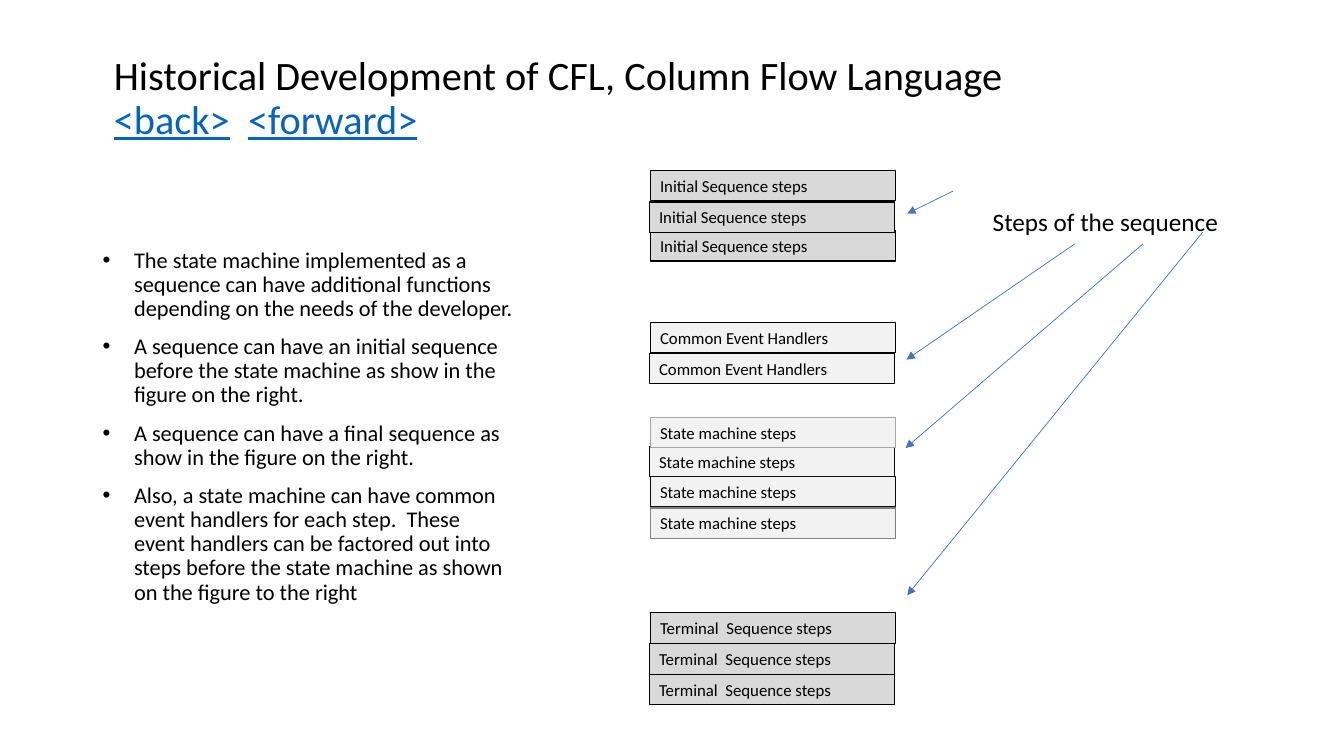
from lxml.etree import SubElement
from pptx import Presentation
from pptx.dml.color import RGBColor
from pptx.enum.shapes import MSO_CONNECTOR, MSO_SHAPE
from pptx.enum.text import MSO_ANCHOR, PP_ALIGN
from pptx.oxml.ns import qn
from pptx.util import Pt

COLORS = {
    "text": "000000",
    "link": "0563C1",
    "arrow": "4472C4",
    "sequence": "D9D9D9",
    "machine": "F2F2F2",
    "black": "000000",
    "dark": "0D0D0D",
    "gray": "808080",
    "light": "A6A6A6",
}
FONT = "Calibri"
LEFT, SHIFTED_LEFT = 464.4, 463.7
STEP_WIDTH, STEP_HEIGHT = 175, 21.6

BULLETS = [
    "The state machine implemented as a sequence can have additional functions "
    "depending on the needs of the developer.",
    "A sequence can have an initial sequence before the state machine as show in "
    "the figure on the right.",
    "A sequence can have a final sequence as show in the figure on the right.",
    "Also, a state machine can have common event handlers for each step.  These "
    "event handlers can be factored out into steps before the state machine as "
    "shown on the figure to the right",
]

STACKS = [
    ("Initial Sequence steps", "sequence", [
        (LEFT, 164.9, "black"), (SHIFTED_LEFT, 144.3, "black"), (LEFT, 121.8, "black")]),
    ("Common Event Handlers", "machine", [
        (LEFT, 230.4, "black"), (SHIFTED_LEFT, 252.5, "black")]),
    ("State machine steps", "machine", [
        (SHIFTED_LEFT, 319, "dark"), (LEFT, 298.1, "light"),
        (LEFT, 340.6, "dark"), (LEFT, 362.9, "gray")]),
    ("Terminal  Sequence steps", "sequence", [
        (LEFT, 437.8, "black"), (SHIFTED_LEFT, 460, "black"), (SHIFTED_LEFT, 482, "black")]),
]

ARROWS = [
    (680.6, 136.6, 648, 152.6),
    (767.7, 174.2, 647.5, 256.9),
    (816.4, 174.2, 646.8, 320.1),
    (859.2, 165.7, 648, 425.2),
]


def color(name):
    return RGBColor.from_string(COLORS[name])


def add_text(para, text, size=12, fill="text", underline=False):
    span = para.add_run()
    span.text = text
    span.font.name = FONT
    span.font.size = Pt(size)
    span.font.color.rgb = color(fill)
    span.font.underline = underline


def add_box(page, left, top, width, height, anchor=MSO_ANCHOR.TOP):
    box = page.shapes.add_textbox(Pt(left), Pt(top), Pt(width), Pt(height))
    frame = box.text_frame
    frame.word_wrap = True
    frame.vertical_anchor = anchor
    return frame


def add_title(page):
    frame = add_box(page, 74.2, 30.2, 847.4, 75.6, MSO_ANCHOR.BOTTOM)
    para = frame.paragraphs[0]
    para.line_spacing = 0.9
    add_text(para, "Historical Development of CFL, Column Flow Language", size=28.8)
    para.add_line_break()
    add_text(para, "<back>", size=28.8, fill="link", underline=True)
    add_text(para, "  ", size=28.8)
    add_text(para, "<forward>", size=28.8, fill="link", underline=True)


def add_bullets(page):
    frame = add_box(page, 66.2, 174.2, 309.6, 288)
    for index, text in enumerate(BULLETS):
        para = frame.add_paragraph() if index else frame.paragraphs[0]
        para.line_spacing = 0.9
        para.space_before = Pt(10)
        add_text(para, text, size=16)
        properties = para._p.get_or_add_pPr()
        properties.set("marL", str(Pt(22.5)))
        properties.set("indent", str(-Pt(22.5)))
        SubElement(properties, qn("a:buFont")).set("typeface", "Arial")
        SubElement(properties, qn("a:buChar")).set("char", "•")


def add_step(page, text, fill, left, top, line):
    step = page.shapes.add_shape(
        MSO_SHAPE.RECTANGLE, Pt(left), Pt(top), Pt(STEP_WIDTH), Pt(STEP_HEIGHT))
    step.shadow.inherit = False
    step.fill.solid()
    step.fill.fore_color.rgb = color(fill)
    step.line.color.rgb = color(line)
    step.line.width = Pt(0.75)
    frame = step.text_frame
    frame.word_wrap = True
    frame.vertical_anchor = MSO_ANCHOR.TOP
    para = frame.paragraphs[0]
    para.alignment = PP_ALIGN.LEFT
    add_text(para, text)


def add_arrow(page, *ends):
    arrow = page.shapes.add_connector(MSO_CONNECTOR.STRAIGHT, *map(Pt, ends))
    arrow.line.color.rgb = color("arrow")
    arrow.line.width = Pt(0.5)
    SubElement(arrow.line._get_or_add_ln(), qn("a:tailEnd")).set("type", "triangle")
    SubElement(arrow._element.spPr, qn("a:effectLst"))


def main():
    deck = Presentation()
    deck.slide_width, deck.slide_height = Pt(960), Pt(540)
    page = deck.slides.add_slide(deck.slide_layouts[6])
    add_title(page)
    add_bullets(page)
    for text, fill, steps in STACKS:
        for left, top, line in steps:
            add_step(page, text, fill, left, top, line)
    label = add_box(page, 702, 144, 224.6, 29)
    add_text(label.paragraphs[0], "Steps of the sequence", size=18)
    for ends in ARROWS:
        add_arrow(page, *ends)
    deck.save("out.pptx")


if __name__ == "__main__":
    main()
